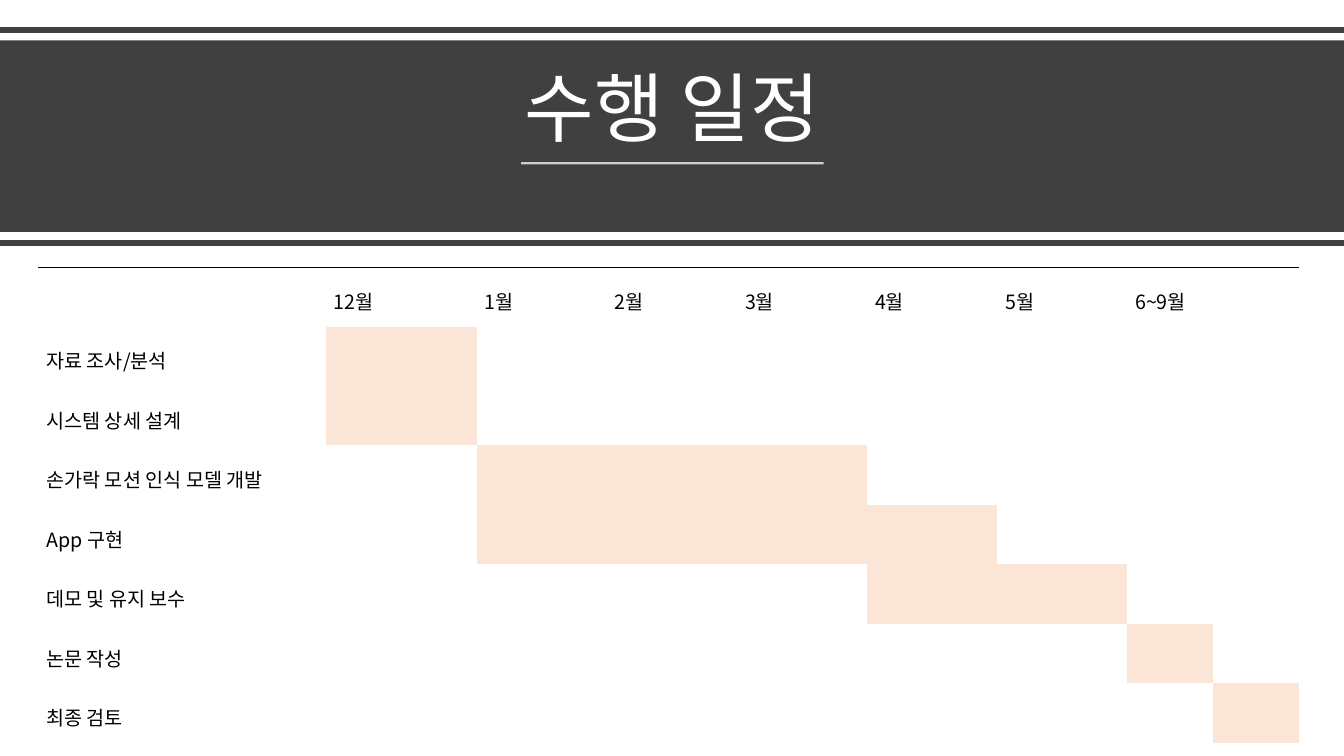
import pptx
import pptx.util
import pptx.dml.color
import pptx.enum.shapes
import pptx.enum.text
from lxml import etree
from pptx.oxml.ns import qn

Inches, Pt = pptx.util.Inches, pptx.util.Pt
RGBColor = pptx.dml.color.RGBColor
ALIGN, ANCHOR = pptx.enum.text.PP_ALIGN, pptx.enum.text.MSO_ANCHOR

TITLE = "수행 일정"
MONTHS = ["12월", "1월", "2월", "3월", "4월", "5월", "6~9월"]
# Task, first and last shaded column
TASKS = [
    ("자료 조사/분석", 1, 1),
    ("시스템 상세 설계", 1, 1),
    ("손가락 모션 인식 모델 개발", 2, 4),
    ("App 구현", 2, 5),
    ("데모 및 유지 보수", 5, 6),
    ("논문 작성", 7, 7),
    ("최종 검토", 8, 8),
]
COLUMN_WIDTHS = [2.85, 1.5] + [1.29] * 5 + [0.85] * 2
ROW_HEIGHT = 0.59
LAST_MONTH = len(MONTHS)  # this month is split into two columns

FONT = "Noto Sans CJK KR"
DARK = RGBColor(0x40, 0x40, 0x40)
WHITE = RGBColor(0xFF, 0xFF, 0xFF)
BLACK = RGBColor(0, 0, 0)
PEACH = RGBColor(0xFB, 0xE5, 0xD6)
NO_STYLE = "{2D5ABB26-0587-4C30-8999-92F81FD0307C}"


def write(frame, text, size, color, align, spacing):
    paragraph = frame.paragraphs[0]
    paragraph.alignment = align
    paragraph.line_spacing = spacing
    run = paragraph.add_run()
    run.text = text
    run.font.size = Pt(size)
    run.font.name = FONT
    run.font.color.rgb = color
    east_asian = etree.SubElement(run.font._element, qn("a:ea"))
    east_asian.set("typeface", FONT)


def add_rule(shapes, left, right, y, width, color, opacity=100):
    rule = shapes.add_connector(pptx.enum.shapes.MSO_CONNECTOR.STRAIGHT,
                                Inches(left), Inches(y), Inches(right), Inches(y))
    rule.line.width = Pt(width)
    rule.line.color.rgb = color
    properties = rule._element.spPr
    if opacity < 100:
        alpha = etree.SubElement(properties.find(".//" + qn("a:srgbClr")), qn("a:alpha"))
        alpha.set("val", str(opacity * 1000))
    etree.SubElement(properties, qn("a:effectLst"))


def add_top_border(cell):
    border = etree.Element(qn("a:lnT"), w=str(Pt(1)))
    fill = etree.SubElement(border, qn("a:solidFill"))
    etree.SubElement(fill, qn("a:srgbClr"), val=str(BLACK))
    cell._tc.get_or_add_tcPr().insert(0, border)


def write_cell(cell, text):
    cell.vertical_anchor = ANCHOR.MIDDLE
    cell.margin_left, cell.margin_top = Inches(0.08), Inches(0.02)
    cell.margin_right, cell.margin_bottom = Inches(0.06), Inches(0.11)
    write(cell.text_frame, text, size=14, color=BLACK, align=ALIGN.JUSTIFY, spacing=1.6)


def add_header(shapes):
    add_rule(shapes, 0, 13.33, 0.3, 4, DARK)
    band = shapes.add_shape(pptx.enum.shapes.MSO_SHAPE.RECTANGLE,
                            0, Inches(0.4), Inches(13.33), Inches(1.9))
    band.shadow.inherit = False
    band.fill.solid()
    band.fill.fore_color.rgb = DARK
    band.line.fill.background()

    title = shapes.add_textbox(Inches(0.58), Inches(0.54), Inches(12.18), Inches(1.02))
    title.text_frame.word_wrap = True
    title.text_frame.vertical_anchor = ANCHOR.BOTTOM
    write(title.text_frame, TITLE, size=54, color=WHITE, align=ALIGN.CENTER, spacing=0.9)
    add_rule(shapes, 5.17, 8.17, 1.62, 1.5, WHITE, opacity=75)
    add_rule(shapes, 0, 13.33, 2.41, 4, DARK)


def add_schedule(shapes):
    row_count = len(TASKS) + 1
    schedule = shapes.add_table(
        row_count, len(COLUMN_WIDTHS), Inches(0.38), Inches(2.65),
        Inches(sum(COLUMN_WIDTHS)), Inches(ROW_HEIGHT * row_count)).table
    schedule.first_row = schedule.horz_banding = False
    schedule._tbl.tblPr.find(qn("a:tableStyleId")).text = NO_STYLE
    for column, width in zip(schedule.columns, COLUMN_WIDTHS):
        column.width = Inches(width)
    for row in schedule.rows:
        row.height = Inches(ROW_HEIGHT)
    for cell in schedule.iter_cells():
        cell.fill.background()

    for column in range(len(COLUMN_WIDTHS)):
        add_top_border(schedule.cell(0, column))
    for column, month in enumerate(MONTHS, start=1):
        write_cell(schedule.cell(0, column), month)
    for row, (task, first, last) in enumerate(TASKS, start=1):
        write_cell(schedule.cell(row, 0), task)
        for column in range(first, last + 1):
            shaded = schedule.cell(row, column)
            shaded.fill.solid()
            shaded.fill.fore_color.rgb = PEACH

    first_split = next(row for row, task in enumerate(TASKS, start=1)
                       if task[1] >= LAST_MONTH)
    for row in range(first_split):
        schedule.cell(row, LAST_MONTH).merge(schedule.cell(row, LAST_MONTH + 1))


def main():
    deck = pptx.Presentation()
    deck.slide_width, deck.slide_height = Inches(13.33), Inches(7.5)
    slide = deck.slides.add_slide(deck.slide_layouts[6])
    add_header(slide.shapes)
    add_schedule(slide.shapes)
    deck.save("out.pptx")


if __name__ == "__main__":
    main()
